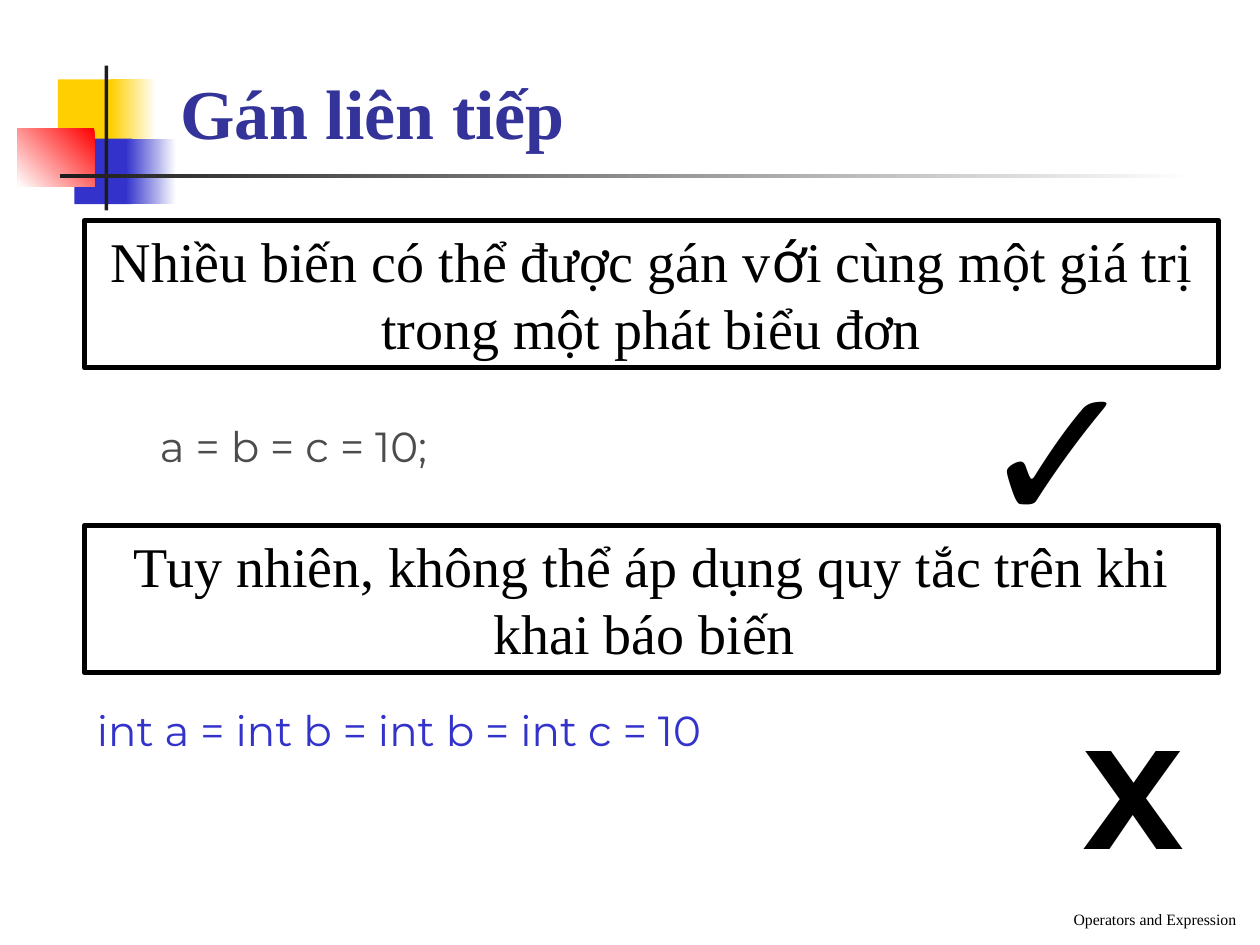
"""Build a slide on chained assignment with a valid and an invalid example."""
import pptx
import pptx.dml.color
import pptx.enum.shapes
import pptx.enum.text
import pptx.util

Inches = pptx.util.Inches
RGBColor = pptx.dml.color.RGBColor
Align = pptx.enum.text.PP_ALIGN
Anchor = pptx.enum.text.MSO_ANCHOR
AutoSize = pptx.enum.text.MSO_AUTO_SIZE

WHITE = RGBColor(0xFF, 0xFF, 0xFF)
BLACK = RGBColor(0, 0, 0)
YELLOW = RGBColor(0xFF, 0xCF, 0x01)
BLUE = RGBColor(0x33, 0x33, 0xCC)
RED = RGBColor(0xFF, 0, 0)
CHARCOAL = RGBColor(0x1C, 0x1C, 0x1C)
NAVY = RGBColor(0x33, 0x33, 0x99)
GRAY = RGBColor(0x4C, 0x4C, 0x4C)
SERIF = "Times New Roman"
CODE = "Montserrat"


def add_rectangle(slide, box):
    """Add a rectangle without shadow at left, top, width, height."""
    rectangle = slide.shapes.add_shape(
        pptx.enum.shapes.MSO_SHAPE.RECTANGLE, *map(Inches, box))
    rectangle.shadow.inherit = False
    return rectangle


def add_ornament(slide, box, colors, angle=180):
    """Add a borderless rectangle in one colour or a two-colour gradient."""
    ornament = add_rectangle(slide, box)
    ornament.line.fill.background()
    fill = ornament.fill
    if len(colors) == 1:
        fill.solid()
        fill.fore_color.rgb = colors[0]
        return
    fill.gradient()
    fill.gradient_angle = angle
    for stop, color in zip(fill.gradient_stops, colors):
        stop.color.rgb = color


def write_text(shape, runs, size, color, bold=False, align=Align.LEFT,
               anchor=Anchor.TOP, wrap=True):
    """Write one paragraph from (text, font) runs."""
    frame = shape.text_frame
    frame.auto_size = AutoSize.NONE
    frame.word_wrap = wrap
    frame.vertical_anchor = anchor
    paragraph = frame.paragraphs[0]
    paragraph.alignment = align
    for text, font_name in runs:
        run = paragraph.add_run()
        run.text = text
        run.font.name = font_name
        run.font.size = pptx.util.Pt(size)
        run.font.bold = bold
        run.font.color.rgb = color
    return paragraph


def add_title(slide, text):
    """Place and fill the title placeholder."""
    title = slide.shapes.title
    title.left, title.top, title.width, title.height = map(
        Inches, (1.33, 0.5, 4.78, 0.77))
    write_text(title, [(text, SERIF)], 40, NAVY, True, anchor=Anchor.BOTTOM)


def add_statement(slide, top, runs):
    """Add a framed, centred statement."""
    statement = add_rectangle(slide, (0.67, top, 9, 1.17))
    statement.fill.background()
    statement.line.color.rgb = BLACK
    statement.line.width = pptx.util.Pt(3)
    paragraph = write_text(statement, runs, 32, BLACK, align=Align.CENTER)
    paragraph.space_before = pptx.util.Pt(20)


def add_label(slide, box, text, font_name, size, color, **options):
    """Add a text box with a single run."""
    label = slide.shapes.add_textbox(*map(Inches, box))
    write_text(label, [(text, font_name)], size, color, **options)


def add_ornaments(slide):
    """Add the coloured squares and rules beside the title."""
    add_ornament(slide, (0.46, 0.63, 0.48, 0.52), [YELLOW])
    add_ornament(slide, (0.88, 0.63, 0.36, 0.52), [WHITE, YELLOW])
    add_ornament(slide, (0.59, 1.1, 0.46, 0.52), [BLUE])
    add_ornament(slide, (1, 1.1, 0.4, 0.52), [WHITE, BLUE])
    add_ornament(slide, (0.14, 1.02, 0.61, 0.46), [RED, WHITE], 225)
    add_ornament(slide, (0.83, 0.52, 0.03, 1.15), [CHARCOAL])
    add_ornament(slide, (0.48, 1.38, 9, 0.03), [WHITE, CHARCOAL])


def main():
    """Build and save the presentation."""
    presentation = pptx.Presentation()
    presentation.slide_width = Inches(10)
    presentation.slide_height = Inches(7.5)
    slide = presentation.slides.add_slide(presentation.slide_layouts[5])
    add_ornaments(slide)
    add_title(slide, "Gán liên tiếp")
    add_statement(slide, 1.75, [
        ("Nhiều biến có thể được gán v", SERIF), ("ớ", "Karla"),
        ("i cùng một giá trị trong một phát biểu đơn", SERIF)])
    add_label(slide, (1.17, 3.29, 6.25, 0.71), "a = b = c = 10;",
              CODE, 24, GRAY, wrap=False)
    add_label(slide, (7.67, 2.58, 1.61, 1.94), "✓", "Arial", 110, BLACK)
    add_statement(slide, 4.17, [
        ("Tuy nhiên, không thể áp dụng quy tắc trên khi khai báo biến ", SERIF)])
    add_label(slide, (0.67, 5.54, 7.25, 0.71),
              "int a = int b = int b = int c = 10", CODE, 24, BLUE, wrap=False)
    add_label(slide, (8.5, 5.58, 0.83, 0.67), "X", CODE, 80, BLACK,
              bold=True, wrap=False)
    add_label(slide, (3.83, 6.92, 6.08, 0.5), "Operators and Expression",
              SERIF, 9, BLACK, align=Align.RIGHT, anchor=Anchor.BOTTOM)
    presentation.save("out.pptx")


if __name__ == "__main__":
    main()
